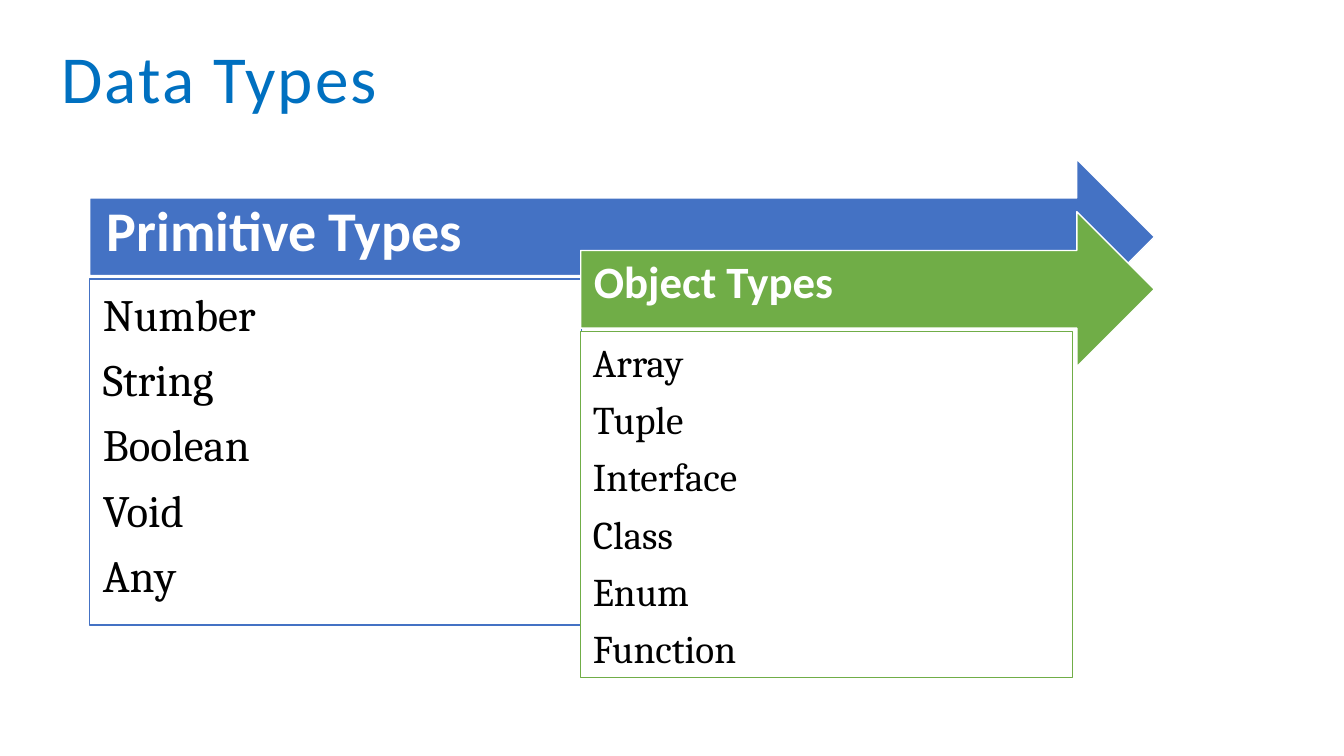
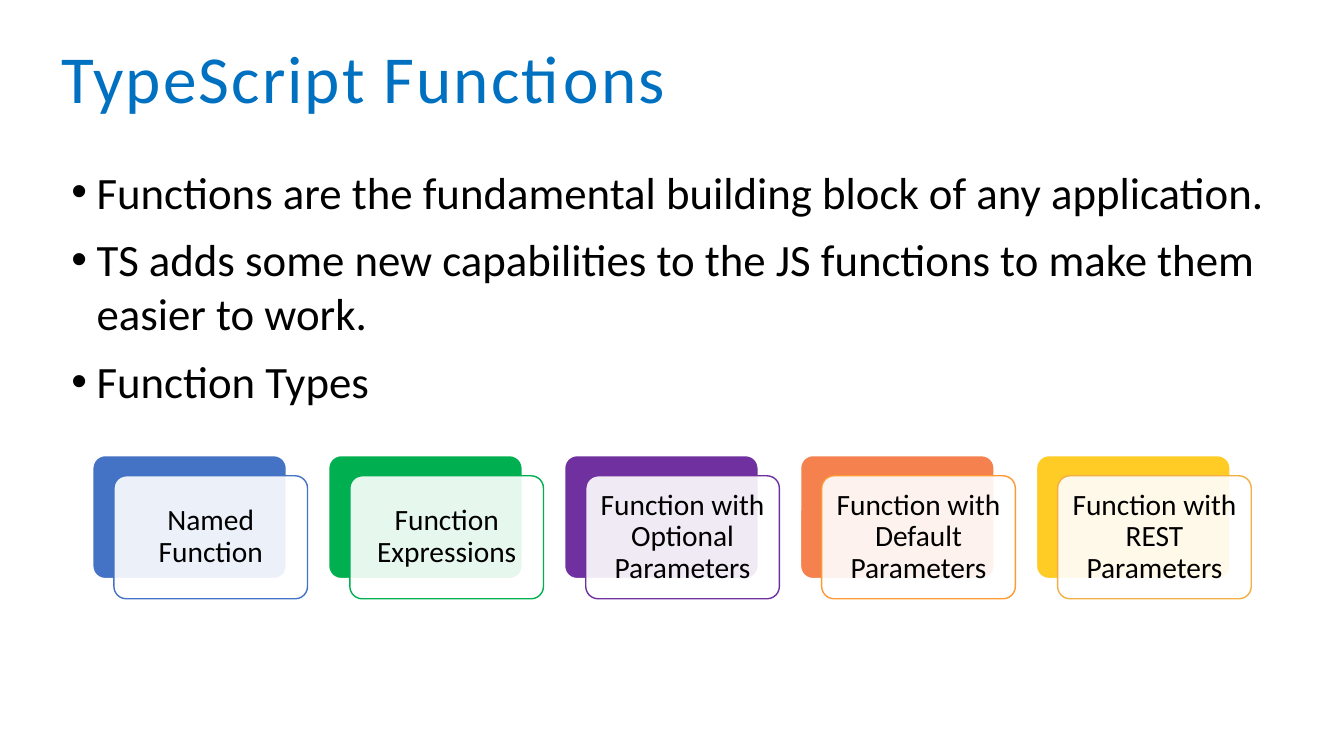
from lxml import etree
from pptx import Presentation
from pptx.dml.color import RGBColor
from pptx.enum.shapes import MSO_SHAPE
from pptx.enum.text import MSO_ANCHOR, PP_ALIGN
from pptx.oxml.ns import qn
from pptx.util import Inches, Pt

ARROW, RECT, ROUNDED = MSO_SHAPE.RIGHT_ARROW, MSO_SHAPE.RECTANGLE, MSO_SHAPE.ROUNDED_RECTANGLE
TOP, MIDDLE = MSO_ANCHOR.TOP, MSO_ANCHOR.MIDDLE
LEFT, CENTER = PP_ALIGN.LEFT, PP_ALIGN.CENTER

COLORS = {
    "title": "0070C0", "text": "000000", "white": "FFFFFF",
    "blue": "4472C4", "leaf": "70AD47", "green": "00B050", "purple": "7030A0",
    "coral": "F4814E", "orange": "FF9933", "yellow": "FFCB25", "amber": "F2B044",
}
SANS, SERIF = "Calibri", "Cambria"
MARGIN, CONTENT_WIDTH = 0.61, 12.12


def rgb(name):
    return RGBColor.from_string(COLORS[name])


class Deck:
    """Holds the presentation, its style and the current slide."""

    def __init__(self):
        self.prs = Presentation()
        self.prs.slide_width, self.prs.slide_height = Inches(13.33), Inches(7.5)
        self.slide = None

    def new_slide(self, title):
        self.slide = self.prs.slides.add_slide(self.prs.slide_layouts[6])
        heading = self.text_box((MARGIN, 0.39, CONTENT_WIDTH, 0.77))
        self.set_text(heading, [title], 48, color="title", insets=(0, 0.06, 0, 0))
        for run in heading.text_frame.paragraphs[0].runs:
            run.font._element.set("spc", "150")

    def text_box(self, box):
        return self.slide.shapes.add_textbox(*map(Inches, box))

    def set_text(self, shape, lines, size, font=SANS, color="text", bold=False, align=LEFT,
                 anchor=TOP, insets=(0.1, 0.05, 0.1, 0.05), spacing=0.9, before=0, after=0):
        frame = shape.text_frame
        frame.word_wrap = True
        frame.vertical_anchor = anchor
        (frame.margin_left, frame.margin_top,
         frame.margin_right, frame.margin_bottom) = map(Inches, insets)
        frame.text = "\n".join(lines)
        for paragraph in frame.paragraphs:
            paragraph.alignment = align
            paragraph.line_spacing = spacing
            paragraph.space_before, paragraph.space_after = Pt(before), Pt(after)
            for run in paragraph.runs:
                run.font.name, run.font.size, run.font.bold = font, Pt(size), bold
                run.font.color.rgb = rgb(color)

    def shape(self, kind, box, fill, line, opacity=100):
        shape = self.slide.shapes.add_shape(kind, *map(Inches, box))
        shape.shadow.inherit = False
        shape.fill.solid()
        shape.fill.fore_color.rgb = rgb(fill)
        shape.line.color.rgb = rgb(line)
        shape.line.width = Pt(1)
        if kind == ROUNDED:
            shape.adjustments[0] = 0.1
        if opacity < 100:
            color = shape.fill._xPr.find(".//" + qn("a:srgbClr"))
            etree.SubElement(color, qn("a:alpha")).set("val", str(opacity * 1000))
        return shape

    def bullets(self, box, lines, size):
        body = self.text_box(box)
        self.set_text(body, lines, size, spacing=1.0, before=10)
        for paragraph in body.text_frame.paragraphs:
            props = paragraph._p.get_or_add_pPr()
            props.set("marL", str(Inches(0.25)))
            props.set("indent", str(-Inches(0.25)))
            etree.SubElement(props, qn("a:buFont")).set("typeface", "Arial")
            etree.SubElement(props, qn("a:buChar")).set("char", "•")

    def arrow_list(self, left, top, heading, items, color, heading_size, item_size, pads):
        """Draws an arrow heading, ending at a shared right edge, over a list panel."""
        heading_pad, item_pad = pads
        arrow = self.shape(ARROW, (left, top, 11.45 - left, 1.54), color, "white")
        self.set_text(arrow, [heading], heading_size, color="white", bold=True, anchor=MIDDLE,
                      insets=(heading_pad, heading_pad, 0.28, 0.24))
        panel = self.shape(RECT, (left, top + 1.19, 4.88, 3.43), "white", color)
        self.set_text(panel, items, item_size, font=SERIF, insets=(item_pad,) * 4,
                      after=round(item_size * 0.38, 1))

    def layered_card(self, left, top, label, fill, line):
        """Draws a coloured card with a translucent labelled card offset in front."""
        width, height = 1.92, 1.22
        self.shape(ROUNDED, (left, top, width, height), fill, "white")
        front = self.shape(ROUNDED, (left + 0.21, top + 0.2, width, height),
                           "white", line, opacity=90)
        self.set_text(front, [label], 21, align=CENTER, anchor=MIDDLE, insets=(0.09,) * 4)


def data_types(deck):
    deck.new_slide("Data Types")
    deck.arrow_list(0.89, 1.58, "Primitive Types",
                    ["Number", "String", "Boolean", "Void", "Any"],
                    "blue", 40, 32, (0.17, 0.13))
    deck.arrow_list(5.76, 2.1, "Object Types",
                    ["Array", "Tuple", "Interface", "Class", "Enum", "Function"],
                    "leaf", 32, 28, (0.13, 0.12))


def typescript_functions(deck):
    deck.new_slide("TypeScript Functions")
    deck.bullets((MARGIN, 1.58, CONTENT_WIDTH, 5.55), [
        "Functions are the fundamental building block of any application.",
        "TS adds some new capabilities to the JS functions to make them easier to work.",
        "Function Types",
    ], 32)
    function_types = [
        ("Named Function", "blue", "blue"),
        ("Function Expressions", "green", "green"),
        ("Function with Optional Parameters", "purple", "purple"),
        ("Function with Default Parameters", "coral", "orange"),
        ("Function with REST Parameters", "yellow", "amber"),
    ]
    for index, (label, fill, line) in enumerate(function_types):
        deck.layered_card(0.92 + index * 2.34, 4.52, label, fill, line)


def main():
    deck = Deck()
    data_types(deck)
    typescript_functions(deck)
    deck.prs.save("out.pptx")


if __name__ == "__main__":
    main()
